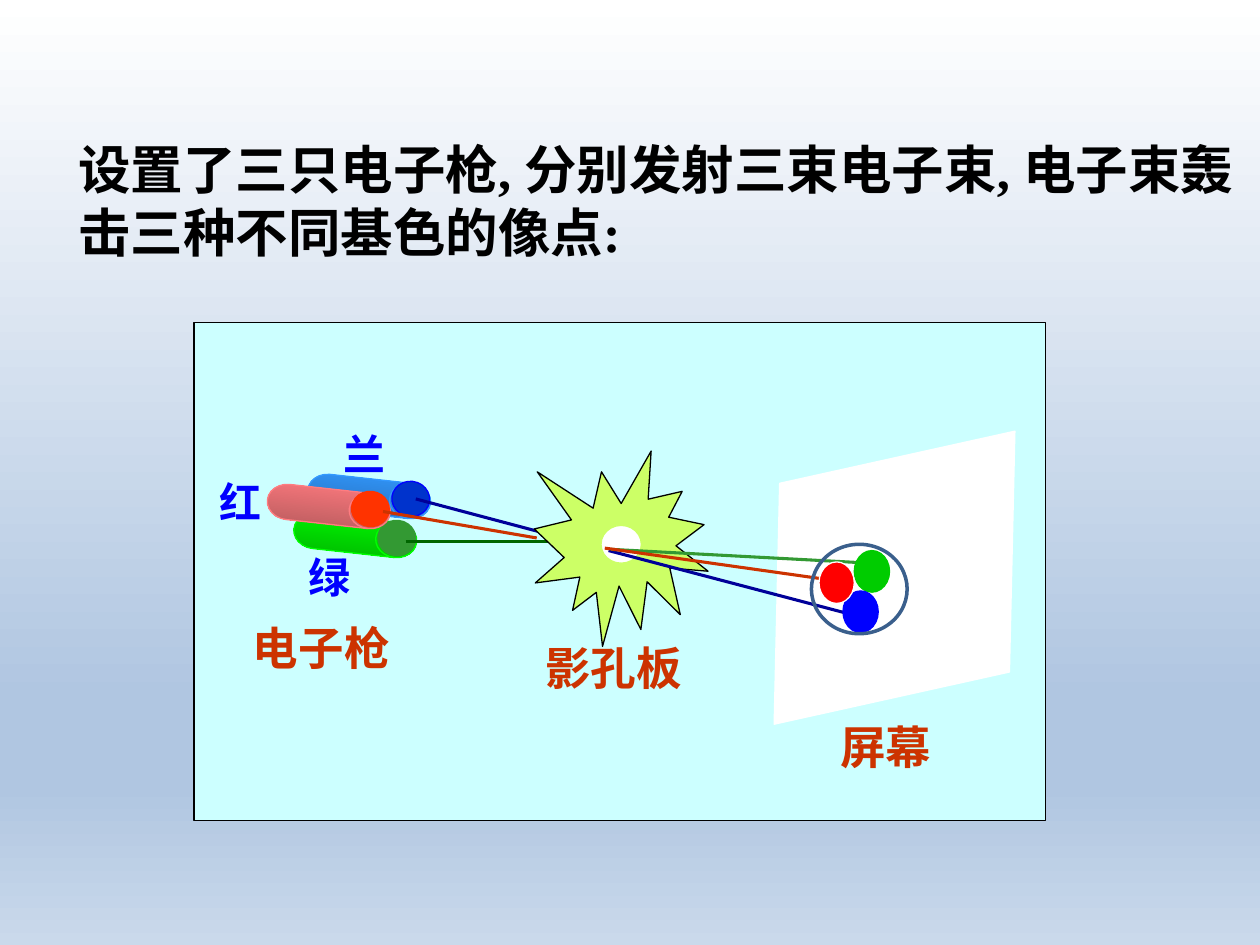
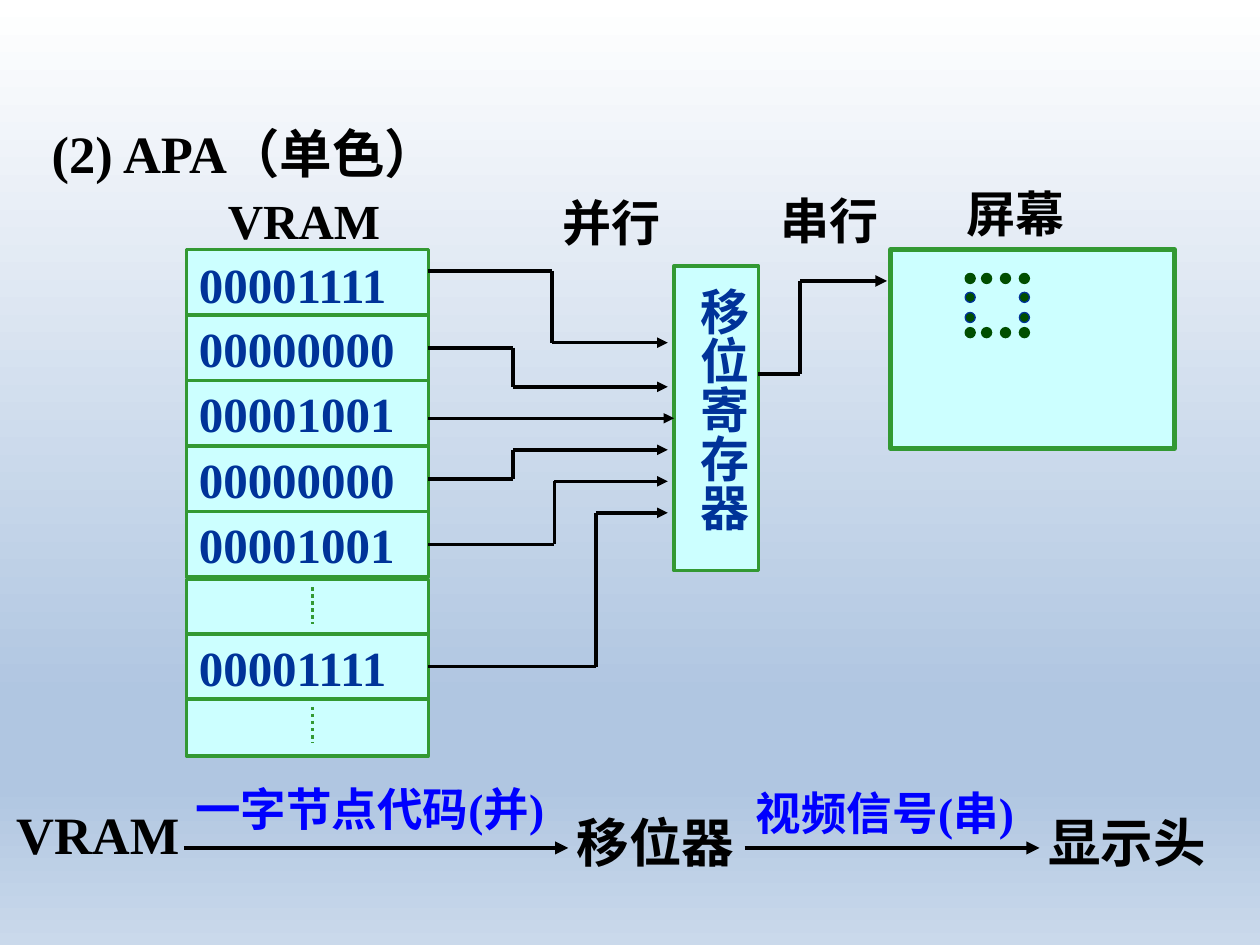
from dataclasses import dataclass
from itertools import pairwise, product

from lxml import etree
from pptx import Presentation, util as u
from pptx.dml.color import RGBColor
from pptx.enum import dml, shapes, text
from pptx.oxml.ns import qn

CELL = u.Inches(0.1)
COLUMNS, ROWS = 100, 75
LATIN, EAST_ASIAN = "Times New Roman", "Noto Sans CJK SC"
BLACK, WHITE, PALE, GREEN = "000000", "FFFFFF", "CCFFFF", "339933"
BLUE, RUST, NAVY, DOT = "0000FF", "CC3300", "003399", "004E00"
BACKDROP = [(0, "FFFFFF"), (74, "B0C6E1"), (83, "B0C6E1"), (100, "CAD9EB")]
FORM = shapes.MSO_SHAPE


def cells(count):
    return round(count * CELL)


def paint(color_format, value):
    color_format.rgb = RGBColor.from_string(value)


def write(frame, words, size, color, face=LATIN):
    frame.text = words
    para = frame.paragraphs[0]
    para.alignment = text.PP_ALIGN.LEFT
    for span in para.runs:
        span.font.size = u.Pt(size)
        span.font.bold = True
        span.font.name = face
        paint(span.font.color, color)
        properties = span.font._element
        east = etree.SubElement(properties, qn("a:ea"))
        east.set("typeface", EAST_ASIAN)


@dataclass
class Region:
    page: object
    left: float
    top: float

    def shape(self, form, left, top, width, height, fill=None, line=BLACK,
              weight=0.75, turn=0):
        shape = self.page.shapes.add_shape(
            form, cells(self.left + left), cells(self.top + top),
            cells(width), cells(height))
        shape.shadow.inherit = False
        shape.rotation = turn
        if fill is None:
            shape.fill.background()
        elif isinstance(fill, tuple):
            shape.fill.gradient()
            shape.fill.gradient_angle = 270
            for stop, color, position in zip(shape.fill.gradient_stops, fill, (0, 1)):
                paint(stop.color, color)
                stop.position = position
        else:
            shape.fill.solid()
            paint(shape.fill.fore_color, fill)
        paint(shape.line.color, line)
        shape.line.width = u.Pt(weight)
        return shape

    def label(self, words, left, top, width, height, size, color=BLACK, wrap=True):
        box = self.page.shapes.add_textbox(
            cells(self.left + left), cells(self.top + top),
            cells(width), cells(height))
        box.text_frame.word_wrap = wrap
        write(box.text_frame, words, size, color)

    def line(self, start, end, color=BLACK, weight=2, arrow=False, dash=None):
        line = self.page.shapes.add_connector(
            shapes.MSO_CONNECTOR.STRAIGHT,
            cells(self.left + start[0]), cells(self.top + start[1]),
            cells(self.left + end[0]), cells(self.top + end[1]))
        paint(line.line.color, color)
        line.line.width = u.Pt(weight)
        if dash:
            line.line.dash_style = dash
        properties = line._element.spPr
        if arrow:
            head = etree.SubElement(properties.find(qn("a:ln")), qn("a:tailEnd"))
            head.set("type", "triangle")
        etree.SubElement(properties, qn("a:effectLst"))
        return line

    def route(self, points, weight=2):
        legs = list(pairwise(points))
        return [self.line(start, end, weight=weight, arrow=number == len(legs))
                for number, (start, end) in enumerate(legs, 1)]


def set_backdrop(deck):
    master = deck.slide_master
    fill = master.background.fill
    fill.gradient()
    fill.gradient_angle = 270
    stops = master._element.find(".//" + qn("a:gsLst"))
    for stop in list(stops):
        stops.remove(stop)
    for position, color in BACKDROP:
        stop = etree.SubElement(stops, qn("a:gs"), pos=str(position * 1000))
        etree.SubElement(stop, qn("a:srgbClr"), val=color)


def add_page(deck, words, left, top, width, height):
    page = deck.slides.add_slide(deck.slide_layouts[5])
    title = page.shapes.title
    title.left, title.top, title.width, title.height = map(
        cells, (left, top, width, height))
    frame = title.text_frame
    frame.auto_size = text.MSO_AUTO_SIZE.NONE
    frame.vertical_anchor = text.MSO_ANCHOR.TOP
    frame.word_wrap = True
    write(frame, words, 30, BLACK)
    return page


def draw_guns(area):
    guns = [
        (8.4, 5, ("3399FF", "246DB6"), "0033CC", BLUE),
        (7.3, 8.1, ("00FF00", "00B600"), GREEN, GREEN),
        (5.2, 5.8, ("FF7C80", "B6595C"), "FF3300", "FF3300"),
    ]
    for left, top, barrel, muzzle, rim in guns:
        area.shape(FORM.FLOWCHART_DIRECT_ACCESS_STORAGE, left, top, 9.8, 2.8,
                   barrel, barrel[0], turn=6.3)
        area.shape(FORM.OVAL, left + 6.7, top + 0.2, 3, 2.8, muzzle, rim, turn=6.3)
    for start, end, color in [((17, 6.6), (28.3, 9.6), "000099"),
                              ((14.4, 7.6), (26.6, 9.7), RUST),
                              ((16.2, 10), (28.2, 10), "006600")]:
        area.line(start, end, color, 1.75)
    for words, left, top in [("红", 0.4, 4.3), ("绿", 7.5, 10.3), ("兰", 10.3, 0.5)]:
        area.label(words, left, top, 5.4, 5, 24, BLUE, wrap=False)
    area.label("电子枪", 3.1, 15.7, 14.7, 5.3, 26, RUST)


def draw_mask(area):
    area.shape(FORM.EXPLOSION1, 0.4, 0.8, 13.8, 15.5, "CCFF66")
    area.shape(FORM.OVAL, 5.7, 6.7, 3.2, 3, WHITE, "CCFF66")
    area.label("影孔板", 0.3, 15.3, 12.9, 5.3, 26, RUST, wrap=False)


def draw_target(area):
    area.shape(FORM.DIAMOND, 11.2, 0.8, 23.6, 30.1, WHITE, WHITE, turn=39.4)
    for start, end, color in [((0.3, 13.7), (19.3, 18.7), "000099"),
                              ((0.5, 13.6), (21.1, 14.7), GREEN),
                              ((0, 13.5), (17.7, 16), RUST)]:
        area.line(start, end, color, 1.75)
    for left, top, fill, rim in [(19.8, 13.7, "00CC00", "00CC00"),
                                 (18.9, 16.9, BLUE, BLUE),
                                 (17, 14.6, "FF0000", WHITE)]:
        area.shape(FORM.OVAL, left, top, 2.8, 3.3, fill, rim)
    area.label("屏幕", 17.7, 26.6, 9.3, 5.3, 26, RUST, wrap=False)
    area.shape(FORM.OVAL, 16.4, 13.2, 7.6, 7.1, line="3A5F8C", weight=2)


def draw_vram(area):
    area.label("VRAM", 2.3, 0, 15.8, 5.7, 28)
    codes = ["00001111", "00000000", "00001001", "00000000", "00001001",
             "", "00001111", ""]
    tops = [5.2 + 5.2 * number for number in range(5)] + [31.4, 35.7, 40.9]
    heights = [5.5] + [5.2] * 4 + [4.9, 5.2, 4.5]
    rows = []
    for code, top, height in zip(codes, tops, heights):
        row = area.shape(FORM.RECTANGLE, 0, top, 19.2, height, PALE, GREEN, 2)
        if code:
            write(row.text_frame, code, 28, NAVY)
            rows.append(row)
        else:
            area.line((10, top + 0.6), (10, top + 3.5), GREEN,
                      dash=dml.MSO_LINE.ROUND_DOT)
    return rows


def draw_register(area):
    register = area.shape(FORM.RECTANGLE, 0, 0, 6.7, 24.2, PALE, GREEN, 2)
    frame = register.text_frame
    write(frame, "移位寄存器", 28, NAVY, EAST_ASIAN)
    frame.vertical_anchor = text.MSO_ANCHOR.TOP
    frame.margin_top = cells(1.7)
    frame._txBody.bodyPr.set("vert", "eaVert")
    return register


def draw_wires(area, rows, register):
    turns = [9.8, 6.7, None, 6.7, 10, 13.3]
    exits = {0: 0.5, 2: 12.2}
    entries = [6.2, 9.7, 12.2, 14.7, 17.2, 19.7]
    for number, (row, turn, entry) in enumerate(zip(rows, turns, entries)):
        middle = (row.top + row.height / 2) / CELL - area.top
        leave = exits.get(number, middle)
        bends = [(turn, leave), (turn, entry)] if turn else []
        legs = area.route([(0, leave), *bends, (19, entry)])
        if number not in exits:
            legs[0].begin_connect(row, 3)
        if not turn:
            legs[-1].end_connect(register, 1)
    area.route([(26.2, 8.7), (29.5, 8.7), (29.5, 1.3), (36.4, 1.3)], 2.25)
    area.label("并行", 9.7, -6.2, 10, 5.7, 28)
    area.label("串行", 27, -6.4, 10.6, 5.7, 28)


def draw_display(area):
    area.label("屏幕", 5, 0, 12.5, 5.7, 28)
    area.shape(FORM.RECTANGLE, 0, 5.7, 22.5, 15.8, PALE, GREEN, 3)
    lefts, tops = (5.9, 7.2, 8.7, 10.2), (7.6, 9.1, 10.7, 11.9)
    for (column, left), (row, top) in product(enumerate(lefts), enumerate(tops)):
        side = row in (1, 2)
        if not side or column in (0, 3):
            area.shape(FORM.OVAL, left, top, 0.8, 0.8, DOT, NAVY if side else DOT)


def draw_flow(area):
    area.label("VRAM", 0, 1.7, 15.4, 6, 30)
    area.label("移位器", 44.5, 2.3, 15.7, 6, 30)
    area.label("显示头", 81.9, 2.3, 15.2, 6, 30)
    area.label("一字节点代码(并)", 14.2, 0, 31.3, 5.3, 26, BLUE)
    area.label("视频信号(串)", 58.7, 0.3, 24.1, 5.3, 26, BLUE)
    for start, end in [(14.3, 44.8), (58.8, 82.2)]:
        area.line((start, 5.8), (end, 5.8), weight=2.5, arrow=True)


def build_gun_page(deck):
    page = add_page(deck, "设置了三只电子枪, 分别发射三束电子束, 电子束轰击三种不同基色的像点:",
                    5.2, 10.4, 94.8, 11)
    Region(page, 15.4, 25.6).shape(FORM.RECTANGLE, 0, 0, 67.6, 39.5, PALE)
    draw_guns(Region(page, 16, 33))
    draw_mask(Region(page, 42, 35))
    draw_target(Region(page, 48, 30))


def build_apa_page(deck):
    page = add_page(deck, "(2) APA（单色）", 3.1, 9.1, 36.2, 6.1)
    draw_display(Region(page, 70.7, 14.1))
    rows = draw_vram(Region(page, 14.8, 14.6))
    register = draw_register(Region(page, 53.5, 21.1))
    draw_wires(Region(page, 34, 21), rows, register)
    draw_flow(Region(page, 0.3, 61.5))


def main():
    deck = Presentation()
    deck.slide_width, deck.slide_height = cells(COLUMNS), cells(ROWS)
    set_backdrop(deck)
    build_gun_page(deck)
    build_apa_page(deck)
    deck.save("out.pptx")


if __name__ == "__main__":
    main()
